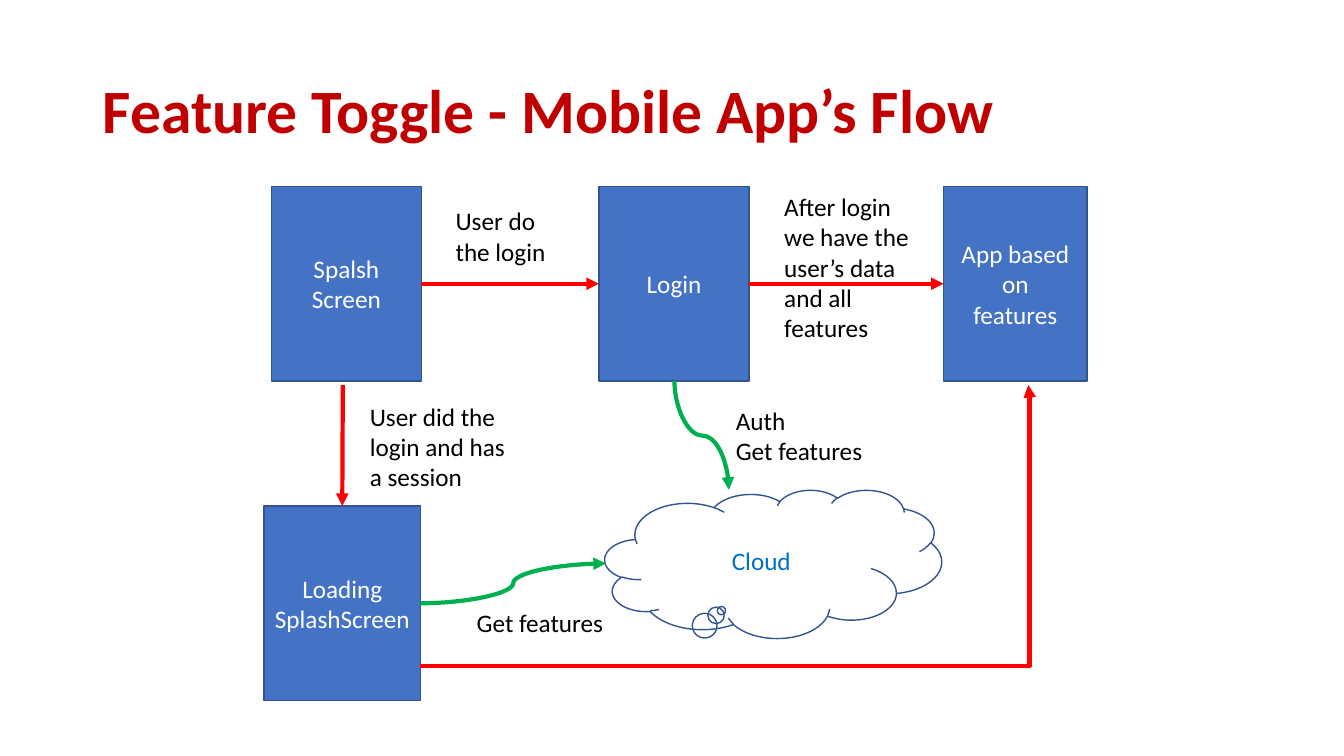
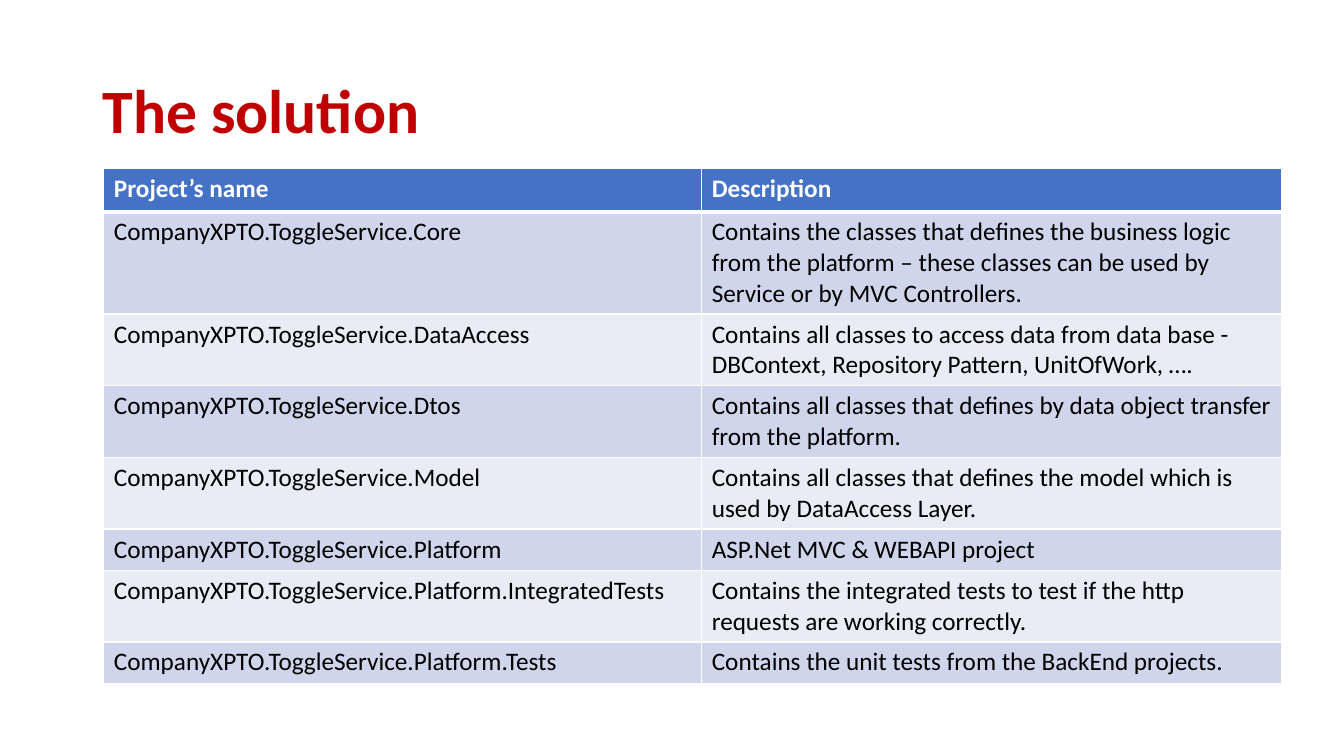
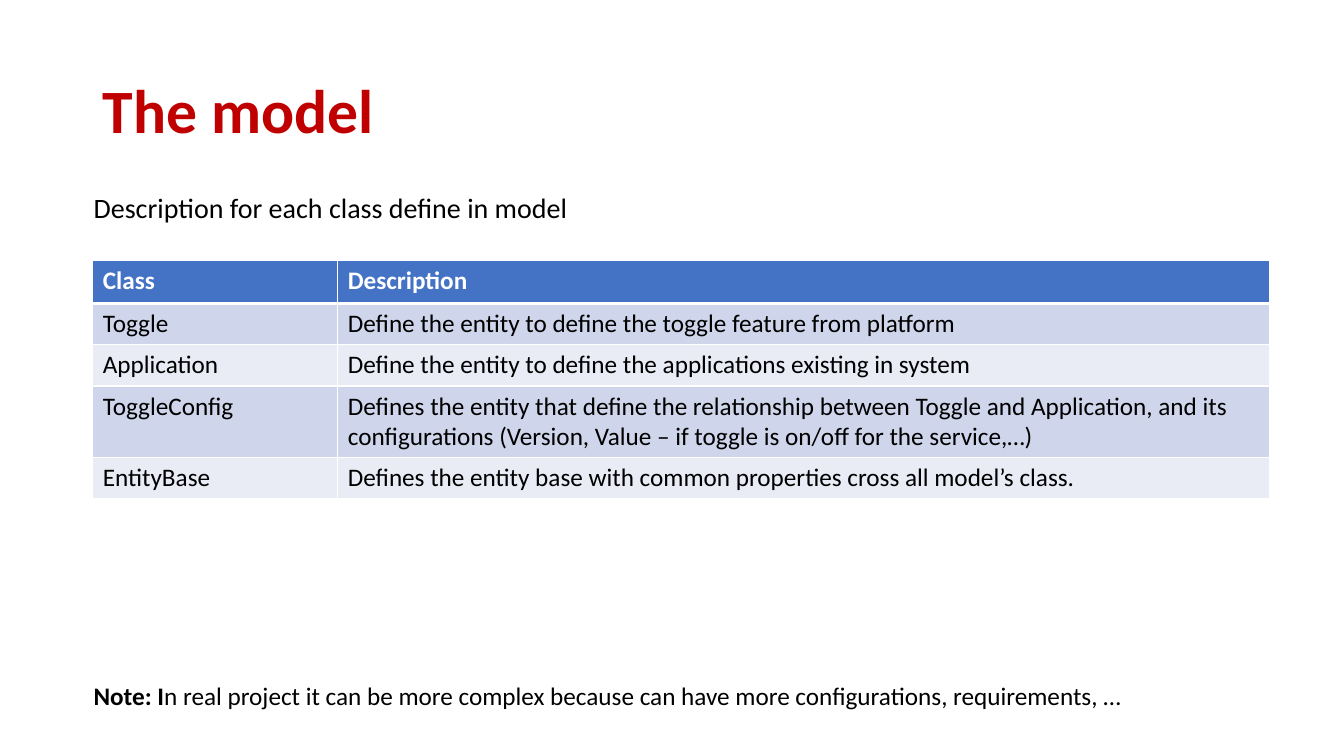
from lxml import etree
from pptx import Presentation
from pptx.dml.color import RGBColor
from pptx.enum.shapes import MSO_CONNECTOR as LINK, MSO_SHAPE as SHAPE
from pptx.enum.text import MSO_ANCHOR as ANCHOR, MSO_AUTO_SIZE as FIT, PP_ALIGN as ALIGN
from pptx.oxml.ns import qn
from pptx.util import Inches, Pt

FONT = "Calibri"
COLORS = {
    "title": "C00000", "box": "4472C4", "outline": "325491", "cloud": "0070C0",
    "flow": "FF0000", "api": "00B050", "band1": "CFD5EA", "band2": "E9EBF5",
    "white": "FFFFFF", "black": "000000",
}

# name: (left, top, width, height, text)
SCREENS = {
    "splash": (2.69, 1.85, 1.49, 1.93, "Spalsh\nScreen"),
    "login": (5.94, 1.85, 1.49, 1.93, "Login"),
    "app": (9.36, 1.85, 1.42, 1.93, "App based on\nfeatures"),
    "loading": (2.62, 5.02, 1.55, 1.93, "Loading\nSplashScreen"),
}
CLOUD = (6, 4.86, 3.34, 1.47, "Cloud")
FLOW_LABELS = [
    (4.42, 1.99, 1.28, 0.71, "User do the login"),
    (3.57, 3.93, 1.57, 1.01, "User did the login and has a session"),
    (7.68, 1.85, 1.57, 1.62, "After login we have the user’s data and all features"),
    (4.63, 5.98, 1.57, 0.4, "Get features"),
    (7.2, 3.97, 1.57, 0.71, "Auth\nGet features"),
]

PROJECTS = [
    ("Project’s name", "Description"),
    ("CompanyXPTO.ToggleService.Core",
     "Contains the classes that defines the business logic from the platform – "
     "these classes can be used by Service or by MVC Controllers."),
    ("CompanyXPTO.ToggleService.DataAccess",
     "Contains all classes to access data from data base - "
     "DBContext, Repository Pattern, UnitOfWork, …."),
    ("CompanyXPTO.ToggleService.Dtos",
     "Contains all classes that defines by data object transfer from the platform."),
    ("CompanyXPTO.ToggleService.Model",
     "Contains all classes that defines the model which is used by DataAccess Layer."),
    ("CompanyXPTO.ToggleService.Platform", "ASP.Net MVC & WEBAPI project"),
    ("CompanyXPTO.ToggleService.Platform.IntegratedTests",
     "Contains the integrated tests to test if the http requests are working correctly."),
    ("CompanyXPTO.ToggleService.Platform.Tests",
     "Contains the unit tests from the BackEnd projects."),
]
CLASSES = [
    ("Class", "Description"),
    ("Toggle", "Define the entity to define the toggle feature from platform"),
    ("Application", "Define the entity to define the applications existing in system"),
    ("ToggleConfig",
     "Defines the entity that define the relationship between Toggle and Application, "
     "and its configurations (Version, Value – if toggle is on/off for the service,…)"),
    ("EntityBase", "Defines the entity base with common properties cross all model’s class."),
]
INTRO = "Description for each class define in model"
NOTE = ("Note: I", "n real project it can be more complex because can have more "
        "configurations, requirements, …")


def rgb(name):
    return RGBColor.from_string(COLORS[name])


def inches(*values):
    return [Inches(v) for v in values]


def style(tf, color="black", size=18, bold=False, align=ALIGN.LEFT):
    for p in tf.paragraphs:
        p.alignment = align
        for r in p.runs:
            r.font.name, r.font.size, r.font.bold = FONT, Pt(size), bold
            r.font.color.rgb = rgb(color)


def add_slide(prs, title):
    s = prs.slides.add_slide(prs.slide_layouts[5])
    sp = s.shapes.title
    sp.left, sp.top, sp.width, sp.height = inches(0.92, 0.4, 11.5, 1.45)
    tf = sp.text_frame
    tf.text = title
    tf.auto_size, tf.vertical_anchor = FIT.NONE, ANCHOR.MIDDLE
    tf.paragraphs[0].line_spacing = 0.9
    style(tf, "title", 44, True)
    return s


def add_text(s, left, top, width, height, text, size=18):
    tf = s.shapes.add_textbox(*inches(left, top, width, height)).text_frame
    tf.word_wrap = True
    tf.text = text
    style(tf, size=size)
    return tf


def add_node(s, kind, left, top, width, height, text, fill=None, color="white"):
    sp = s.shapes.add_shape(kind, *inches(left, top, width, height))
    sp.shadow.inherit = False
    if fill:
        sp.fill.solid()
        sp.fill.fore_color.rgb = rgb(fill)
    else:
        sp.fill.background()
    sp.line.color.rgb, sp.line.width = rgb("outline"), Pt(1)
    tf = sp.text_frame
    tf.text = text
    tf.vertical_anchor = ANCHOR.MIDDLE
    style(tf, color, align=ALIGN.CENTER)
    return sp


def add_arrow(s, kind, start, end, color, source=None, target=None):
    """Draw an arrow; source and target are optional (shape, side) pairs."""
    c = s.shapes.add_connector(kind, *inches(*start, *end))
    if source:
        c.begin_connect(*source)
    if target:
        c.end_connect(*target)
    c.line.color.rgb, c.line.width = rgb(color), Pt(3)
    etree.SubElement(c.line._get_or_add_ln(), qn("a:tailEnd"), type="triangle")
    etree.SubElement(c._element.spPr, qn("a:effectLst"))
    return c


def set_borders(cell, bottom):
    tcPr = cell._tc.get_or_add_tcPr()
    for i, (side, width) in enumerate((("L", 1), ("R", 1), ("T", 1), ("B", bottom))):
        ln = etree.Element(qn(f"a:ln{side}"), w=str(Pt(width)))
        fill = etree.SubElement(ln, qn("a:solidFill"))
        etree.SubElement(fill, qn("a:srgbClr"), val=COLORS["white"])
        tcPr.insert(i, ln)


def add_table(s, left, top, widths, rows):
    heights = [0.43] + [0.41] * (len(rows) - 1)
    table = s.shapes.add_table(len(rows), len(widths), *inches(
        left, top, sum(widths), sum(heights))).table
    for column, width in zip(table.columns, widths):
        column.width = Inches(width)
    for i, (values, height) in enumerate(zip(rows, heights)):
        header = i == 0
        table.rows[i].height = Inches(height)
        for cell, value in zip(table.rows[i].cells, values):
            cell.text = value
            cell.fill.solid()
            cell.fill.fore_color.rgb = rgb("box" if header else "band1" if i % 2 else "band2")
            style(cell.text_frame, "white" if header else "black", bold=header)
            set_borders(cell, 3 if header or False else 1)
            if i == 1:
                cell._tc.tcPr.find(qn("a:lnT")).set("w", str(Pt(3)))


def flow_slide(prs):
    s = add_slide(prs, "Feature Toggle - Mobile App’s Flow")
    box = {name: add_node(s, SHAPE.RECTANGLE, *spot, fill="box")
           for name, spot in SCREENS.items()}
    cloud = add_node(s, SHAPE.CLOUD_CALLOUT, *CLOUD, color="cloud")
    cloud.adjustments[0], cloud.adjustments[1] = -0.154, 0.315

    add_arrow(s, LINK.STRAIGHT, (4.18, 2.81), (5.94, 2.81), "flow",
              (box["splash"], 3), (box["login"], 1))
    add_arrow(s, LINK.STRAIGHT, (7.44, 2.81), (9.36, 2.81), "flow",
              (box["login"], 3), (box["app"], 1))
    add_arrow(s, LINK.STRAIGHT, (3.4, 3.82), (3.4, 5.02), "flow",
              target=(box["loading"], 0))
    for label in FLOW_LABELS:
        add_text(s, *label)
    add_arrow(s, LINK.CURVE, (4.17, 5.98), (6.01, 5.59), "api", (box["loading"], 3))
    # Turned by 270 degrees, this curve runs from (6.69, 3.78) to (7.23, 4.86).
    auth = add_arrow(s, LINK.CURVE, (7.5, 4.05), (6.42, 4.59), "api")
    auth._element.spPr.find(qn("a:xfrm")).set("rot", str(270 * 60000))
    bent = add_arrow(s, LINK.ELBOW, (4.17, 6.61), (10.2, 3.82), "flow")
    guides = bent._element.spPr.find(qn("a:prstGeom")).find(qn("a:avLst"))
    etree.SubElement(guides, qn("a:gd"), name="adj1", fmla="val 100200")


def solution_slide(prs):
    s = add_slide(prs, "The solution")
    add_table(s, 1.03, 1.67, (5.93, 5.75), PROJECTS)


def model_slide(prs):
    s = add_slide(prs, "The model")
    add_table(s, 0.92, 2.58, (2.43, 9.24), CLASSES)
    lead, rest = NOTE
    tf = add_text(s, 0.83, 6.7, 10.63, 0.4, lead)
    tf.paragraphs[0].add_run().text = rest
    style(tf)
    tf.paragraphs[0].runs[0].font.bold = True
    p = add_text(s, 0.83, 1.88, 11.5, 4.76, INTRO, 20).paragraphs[0]
    p.line_spacing, p.space_before = 0.9, Pt(10)


def main():
    prs = Presentation()
    prs.slide_width, prs.slide_height = inches(13.33, 7.5)
    for build in (flow_slide, solution_slide, model_slide):
        build(prs)
    prs.save("out.pptx")


if __name__ == "__main__":
    main()
